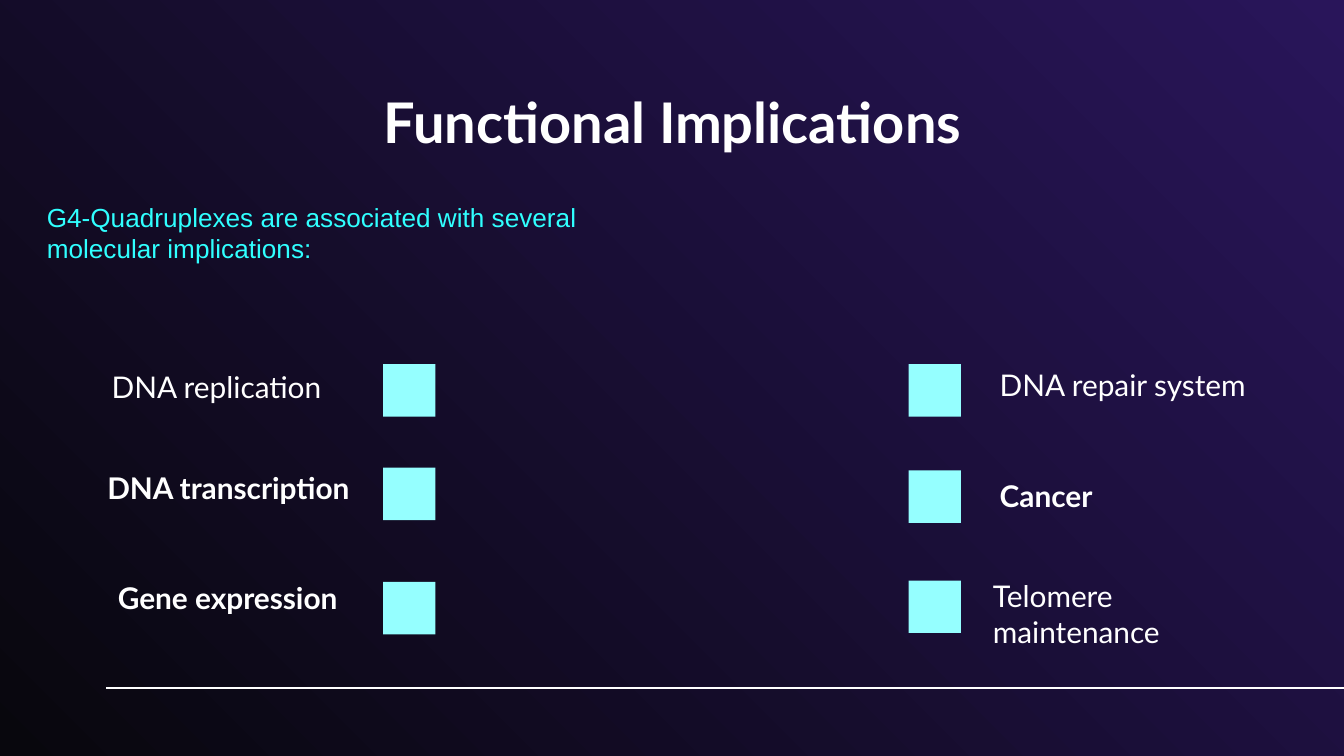
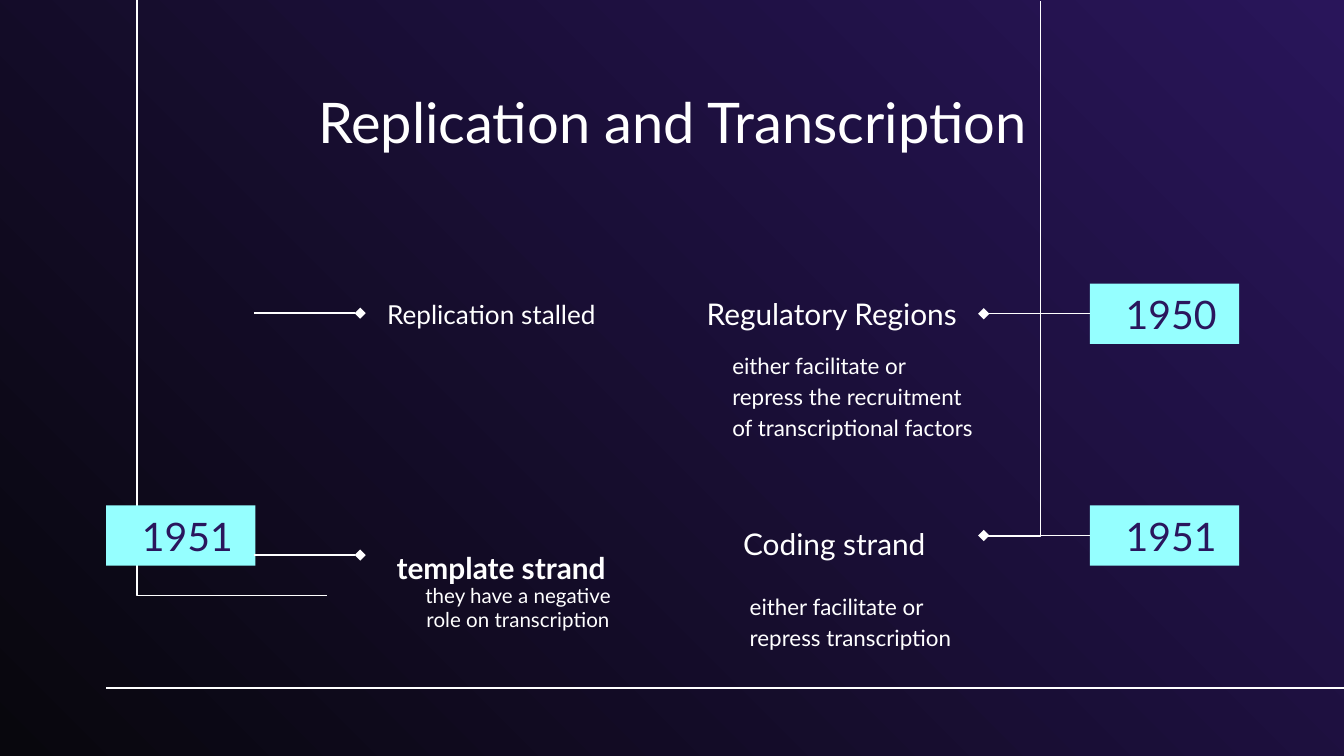
"""Builds two slides on the functions of G4-quadruplexes."""
from lxml.etree import SubElement
from pptx import Presentation
from pptx.dml.color import RGBColor
from pptx.enum.shapes import MSO_CONNECTOR, MSO_SHAPE
from pptx.enum.text import MSO_ANCHOR, PP_ALIGN
from pptx.oxml.ns import qn
from pptx.util import Inches, Pt

WHITE, AQUA, CYAN, NAVY = "FFFFFF", "95FFFF", "30FFFF", "2A165D"
GRADIENT = "08070D", "29155A"
LEFT, CENTER, RIGHT = PP_ALIGN.LEFT, PP_ALIGN.CENTER, PP_ALIGN.RIGHT
EVEN = (0.1, 0.1, 0.1, 0.1)
AFTER_LINE = (0.2, 0.1, 0, 0.1)
BEFORE_LINE = (0, 0.1, 0.2, 0.1)
BODY = (0.1, 0.1, 0.2, 0.1)
LOOSE = {"line_spacing": 1.15, "space_after": Pt(12)}

INTRO = "G4-Quadruplexes are associated with several molecular implications:"
IMPLICATIONS = [
    ("DNA replication", (0.53, 2.65, 1.96, 0.45), RIGHT, False),
    ("DNA transcription", (0.57, 3.33, 2.13, 0.6), RIGHT, True),
    ("Gene expression", (0.42, 4.15, 2.19, 0.6), RIGHT, True),
    ("DNA repair system", (7.34, 2.52, 2.42, 0.69), LEFT, False),
    ("Cancer", (7.34, 3.39, 2.19, 0.6), LEFT, True),
    ("Telomere maintenance", (7.29, 4.34, 1.96, 0.45), LEFT, False),
]
MARKER_SIZE = 0.39
MARKERS = {2.85: (2.71, 3.48, 4.33), 6.76: (2.71, 3.5, 4.32)}

BENDS = [(7.74, 0.01, 7.32, 3.99), (1.02, 0, 2.43, 4.43)]
YEAR_SIZE = (1.11, 0.45)
LEFT_YEAR = ("1951", 0.79, 3.76)
RIGHT_YEARS = [("1950", 8.11, 2.11), ("1951", 8.11, 3.76)]
LEFT_BRANCHES = (2.33, 4.13)
NOTES = [
    (["Replication stalled"], (2.68, 2.11, 2.6, 0.45), AFTER_LINE, LEFT, {"size": 14}, {}),
    (["they have a negative", "role on transcription"], (2.43, 4.22, 2.65, 0.6),
     AFTER_LINE, CENTER, {"size": 11}, {}),
    (["template strand"], (2.19, 3.91, 3.18, 0.58), BODY, CENTER, {"size": 16, "bold": True}, LOOSE),
    (["Regulatory Regions"], (4.72, 2.11, 2.6, 0.45), BEFORE_LINE, RIGHT, {"size": 16}, {}),
    (["either facilitate or repress the recruitment of transcriptional factors"],
     (5.35, 2.68, 2.11, 0.51), BODY, LEFT, {"size": 12}, LOOSE),
    (["Coding strand"], (5.53, 3.82, 1.74, 0.45), BEFORE_LINE, LEFT, {"size": 16}, {}),
    (["either facilitate or repress transcription"], (5.48, 4.36, 2.11, 0.51),
     BODY, LEFT, {"size": 12}, LOOSE),
]


def rgb(value):
    return RGBColor.from_string(value)


def write(sp, lines, insets=EVEN, align=LEFT, size=16, color=WHITE, bold=False,
          name="Lato", anchor=MSO_ANCHOR.MIDDLE, spacing=None):
    tf = sp.text_frame
    tf.word_wrap = True
    tf.vertical_anchor = anchor
    for side, inset in zip(("left", "top", "right", "bottom"), insets):
        setattr(tf, f"margin_{side}", Inches(inset))
    for i, line in enumerate(lines):
        p = tf.add_paragraph() if i else tf.paragraphs[0]
        for key, value in {"alignment": align, **(spacing or {})}.items():
            setattr(p, key, value)
        r = p.add_run()
        r.text = line
        for key, value in {"name": name, "size": Pt(size), "bold": bold}.items():
            setattr(r.font, key, value)
        r.font.color.rgb = rgb(color)


def add_text(s, lines, box, **style):
    write(s.shapes.add_textbox(*map(Inches, box)), lines, **style)


def add_block(s, x, y, w, h):
    sp = s.shapes.add_shape(MSO_SHAPE.RECTANGLE, *map(Inches, (x, y, w, h)))
    sp.shadow.inherit = False
    sp.fill.solid()
    sp.fill.fore_color.rgb = rgb(AQUA)
    sp.line.fill.background()
    return sp


def add_line(s, x0, y0, x1, y1, diamond=False, kind=MSO_CONNECTOR.STRAIGHT):
    line = s.shapes.add_connector(kind, *map(Inches, (x0, y0, x1, y1)))
    line.line.color.rgb = rgb(WHITE)
    line.line.width = Pt(0.75)
    spPr = line._element.spPr
    if diamond:
        SubElement(spPr.find(qn("a:ln")), qn("a:tailEnd"), type="diamond")
    SubElement(spPr, qn("a:effectLst"))
    return line


def add_bend(s, x0, y0, x1, y1):
    cx, cy = (x0 + x1) / 2, (y0 + y1) / 2
    half_w, half_h = (y1 - y0) / 2, abs(x1 - x0) / 2
    turn = 1 if x1 < x0 else -1
    line = add_line(s, cx - turn * half_w, cy - half_h, cx + turn * half_w, cy + half_h,
                    kind=MSO_CONNECTOR.ELBOW)
    spPr = line._element.spPr
    spPr.find(qn("a:xfrm")).set("rot", str(turn * 90 % 360 * 60000))
    spPr.find(qn("a:prstGeom")).set("prst", "bentConnector2")


def add_year(s, year, x, y):
    sp = add_block(s, x, y, *YEAR_SIZE)
    write(sp, [year], (0.1, 0.1, 0, 0.1), CENTER, 21, NAVY)
    return sp


def add_slide(prs, title, bold):
    s = prs.slides.add_slide(prs.slide_layouts[6])
    fill = s.background.fill
    fill.gradient()
    fill.gradient_angle = 45
    for stop, color, position in zip(fill.gradient_stops, GRADIENT, (0, 1)):
        stop.color.rgb = rgb(color)
        stop.position = position
    add_line(s, 10.06, 5.12, 0.79, 5.12)
    add_text(s, [title], (0.79, 0.59, 8.43, 0.62), align=CENTER, size=30, bold=bold)
    return s


def build_implications(prs):
    s = add_slide(prs, "Functional Implications", True)
    add_text(s, [INTRO], (0.25, 1.45, 5, 0.57), insets=(0.1, 0.05, 0.1, 0.05),
             size=14, color=CYAN, name="Arial", anchor=MSO_ANCHOR.TOP)
    for x, tops in MARKERS.items():
        for y in tops:
            add_block(s, x, y, MARKER_SIZE, MARKER_SIZE)
    for label, box, align, bold in IMPLICATIONS:
        add_text(s, [label], box, align=align, bold=bold)


def build_strands(prs):
    s = add_slide(prs, "Replication and Transcription", False)
    for bend in BENDS:
        add_bend(s, *bend)
    add_year(s, *LEFT_YEAR)
    for y in LEFT_BRANCHES:
        add_line(s, 1.89, y, 2.68, y, diamond=True)
    for year, x, y in RIGHT_YEARS:
        sp = add_year(s, year, x, y)
        middle = y + YEAR_SIZE[1] / 2
        add_line(s, x, middle, 7.32, middle, diamond=True).begin_connect(sp, 1)
    for lines, box, insets, align, font, spacing in NOTES:
        add_text(s, lines, box, insets=insets, align=align, spacing=spacing, **font)


def main():
    prs = Presentation()
    prs.slide_width = Inches(10)
    prs.slide_height = prs.slide_width * 9 // 16
    build_implications(prs)
    build_strands(prs)
    prs.save("out.pptx")


if __name__ == "__main__":
    main()
